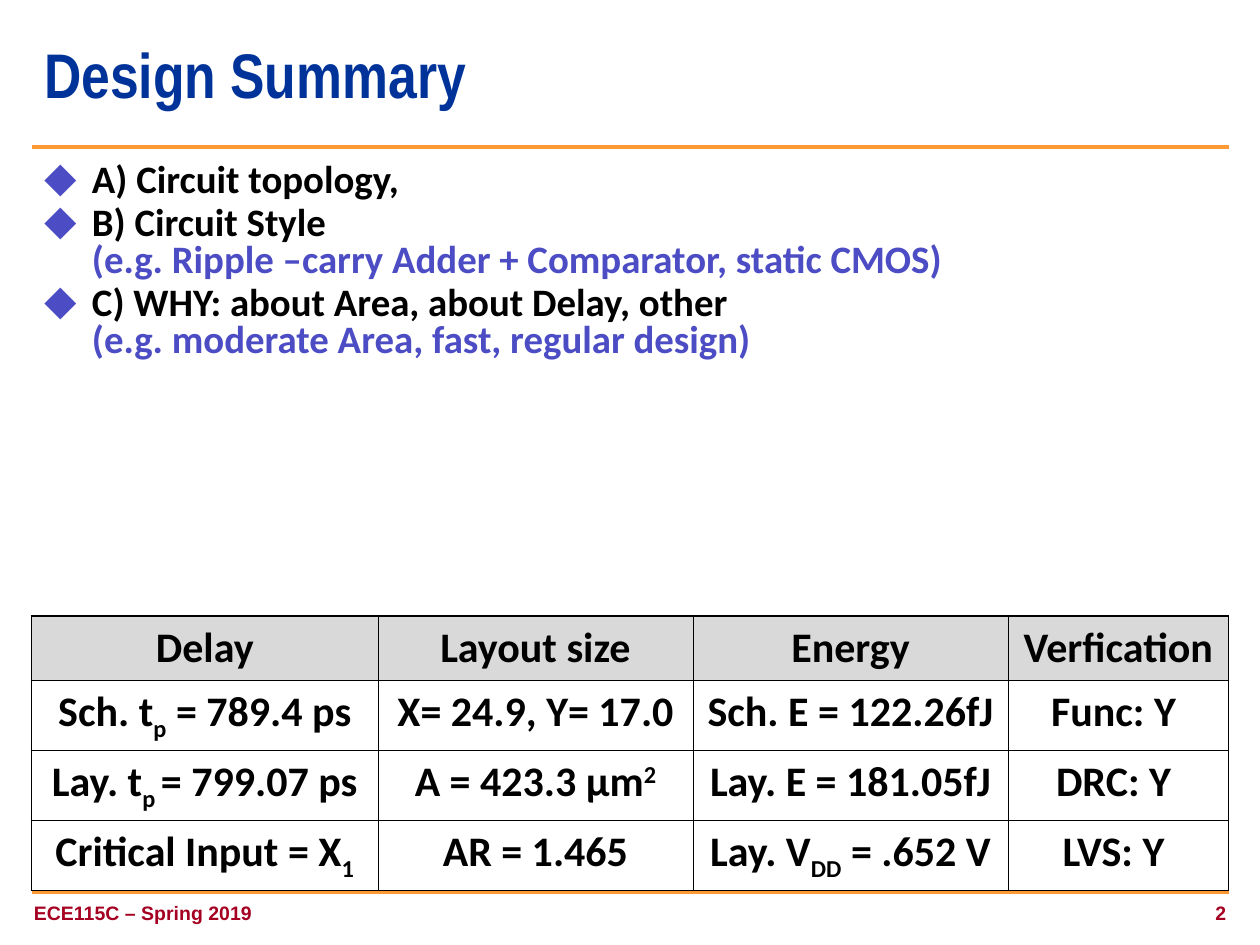
from typing import NamedTuple

from lxml import etree
from pptx import Presentation
from pptx import util as u
from pptx.dml.color import RGBColor
from pptx.enum import shapes, text
from pptx.oxml import ns

ORANGE = RGBColor(0xFF, 0x99, 0x33)
NAVY = RGBColor(0x00, 0x33, 0x99)
VIOLET = RGBColor(0x4C, 0x4C, 0xC4)
MAROON = RGBColor(0xA5, 0x00, 0x21)
GREY = RGBColor(0xD9, 0xD9, 0xD9)
BLACK = RGBColor(0, 0, 0)
LEFT, MID, RIGHT = text.PP_ALIGN.LEFT, text.PP_ALIGN.CENTER, text.PP_ALIGN.RIGHT
THIN, THICK = 0.45, 1.08  # table borders in points


class Bit(NamedTuple):
    text: str
    base: int = 0  # percent above or below the baseline


class Point(NamedTuple):
    head: str
    hint: str = ""


class Foot(NamedTuple):
    text: str
    left: float
    width: float
    align: text.PP_ALIGN


POINTS = [
    Point("A) Circuit topology,"),
    Point("B) Circuit Style", "(e.g. Ripple –carry Adder + Comparator, static CMOS)"),
    Point("C) WHY: about Area, about Delay, other",
          "(e.g. moderate Area, fast, regular design)"),
]
FEET = [
    Foot("ECE115C – Spring 2019", 0.17, 3.17, LEFT),
    Foot("2", 7.75, 2.08, RIGHT),
]
COLS = [2.75, 2.5, 2.5, 1.75]
ROWS = [0.51, 0.55, 0.55, 0.55]
CELLS = [
    [[Bit("Delay")], [Bit("Layout size")], [Bit("Energy")], [Bit("Verfication")]],
    [[Bit("Sch. t"), Bit("p", -25), Bit(" = 789.4 ps")],
     [Bit("X= 24.9, Y= 17.0")], [Bit("Sch. E = 122.26fJ")], [Bit("Func: Y ")]],
    [[Bit("Lay. t"), Bit("p ", -25), Bit("= 799.07 ps")],
     [Bit("A = 423.3 µm"), Bit("2", 30)], [Bit("Lay. E = 181.05fJ")], [Bit("DRC: Y ")]],
    [[Bit("Critical Input = X"), Bit("1", -25)], [Bit("AR = 1.465")],
     [Bit("Lay. V"), Bit("DD", -25), Bit(" = .652 V")], [Bit("LVS: Y ")]],
]


def add_sub(node, tag: str, **attrs):
    return etree.SubElement(node, ns.qn(tag), attrs)


def place(shape, left: float, top: float, width: float, height: float) -> None:
    shape.left, shape.top = u.Inches(left), u.Inches(top)
    shape.width, shape.height = u.Inches(width), u.Inches(height)


def add_run(para, words: str, size: float, face: str, color: RGBColor, base: int = 0) -> None:
    run = para.add_run()
    run.text = words
    font = run.font
    font.size, font.name, font.bold = u.Pt(size), face, True
    font.color.rgb = color
    if base:
        font._element.set("baseline", str(base * 1000))


def add_rule(slide, top: float) -> None:
    line = slide.shapes.add_connector(
        shapes.MSO_CONNECTOR.STRAIGHT,
        u.Inches(0.25), u.Inches(top), u.Inches(9.75), u.Inches(top))
    line.line.color.rgb = ORANGE
    line.line.width = u.Pt(2.25)
    add_sub(line._element.spPr, "a:effectLst")


def add_foot(slide, foot: Foot) -> None:
    box = slide.shapes.add_textbox(
        u.Inches(foot.left), u.Inches(6.92), u.Inches(foot.width), u.Inches(0.5))
    frame = box.text_frame
    frame.word_wrap = True
    frame.margin_top = u.Inches(0.25)
    para = frame.paragraphs[0]
    para.alignment, para.line_spacing = foot.align, 0.9
    add_run(para, foot.text, 11.1, "Arial", MAROON)


def add_point(para, point: Point, first: bool) -> None:
    props = para._p.get_or_add_pPr()
    props.set("marL", str(u.Inches(0.38)))
    props.set("indent", str(u.Inches(-0.38)))
    tint = add_sub(props, "a:buClr")
    add_sub(tint, "a:srgbClr", val=str(VIOLET))
    add_sub(props, "a:buSzPct", val="120000")
    add_sub(props, "a:buFont", typeface="Arial")
    add_sub(props, "a:buChar", char="⬥")
    para.line_spacing = 0.8
    para.space_before = u.Pt(0 if first else 1.5)
    para.space_after = u.Pt(1.5)
    add_run(para, point.head, 22.2, "Calibri", BLACK)
    if point.hint:
        para.add_line_break()
        add_sub(para._p[-1], "a:rPr", sz="2220", b="1")
        add_run(para, point.hint, 22.2, "Calibri", VIOLET)


def add_edge(cell, side: str, width: float) -> None:
    edge = add_sub(cell._tc.get_or_add_tcPr(), f"a:ln{side}", w=str(u.Pt(width)))
    fill = add_sub(edge, "a:solidFill")
    add_sub(fill, "a:srgbClr", val=str(BLACK))


def add_grid(slide) -> None:
    grid = slide.shapes.add_table(
        len(ROWS), len(COLS), u.Inches(0.25), u.Inches(4.89),
        u.Inches(sum(COLS)), u.Inches(sum(ROWS))).table
    for col, width in zip(grid.columns, COLS):
        col.width = u.Inches(width)
    for row, height in zip(grid.rows, ROWS):
        row.height = u.Inches(height)
    for r, line in enumerate(CELLS):
        for c, bits in enumerate(line):
            cell = grid.cell(r, c)
            outer = {"L": c == 0, "R": c == len(COLS) - 1,
                     "T": r == 0, "B": r == len(ROWS) - 1}
            for side, edge in outer.items():
                add_edge(cell, side, THICK if edge else THIN)
            if r == 0:
                cell.fill.solid()
                cell.fill.fore_color.rgb = GREY
            else:
                cell.fill.background()
            para = cell.text_frame.paragraphs[0]
            para.alignment = MID
            para.space_after = u.Pt(1.5)
            for bit in bits:
                add_run(para, bit.text, 24, "Calibri", BLACK, bit.base)


def main() -> None:
    deck = Presentation()
    deck.slide_width, deck.slide_height = u.Inches(10), u.Inches(7.5)
    slide = deck.slides.add_slide(deck.slide_layouts[1])

    # Rules above the list and the footer
    for top in (7.08, 1.17):
        add_rule(slide, top)

    # Title
    title = slide.shapes.title
    place(title, 0.25, 0.17, 9.5, 0.92)
    title.text_frame.auto_size = text.MSO_AUTO_SIZE.NONE
    title.text_frame.vertical_anchor = text.MSO_ANCHOR.MIDDLE
    para = title.text_frame.paragraphs[0]
    para.alignment, para.line_spacing = LEFT, 0.85
    add_run(para, "Design Summary", 36, "Arial Narrow", NAVY)

    # List
    body = slide.placeholders[1]
    place(body, 0.25, 1.25, 9.5, 2)
    frame = body.text_frame
    frame.auto_size = text.MSO_AUTO_SIZE.NONE
    for i, point in enumerate(POINTS):
        para = frame.add_paragraph() if i else frame.paragraphs[0]
        add_point(para, point, i == 0)

    # Footer and results table
    for foot in FEET:
        add_foot(slide, foot)
    add_grid(slide)

    deck.save("out.pptx")


if __name__ == "__main__":
    main()
